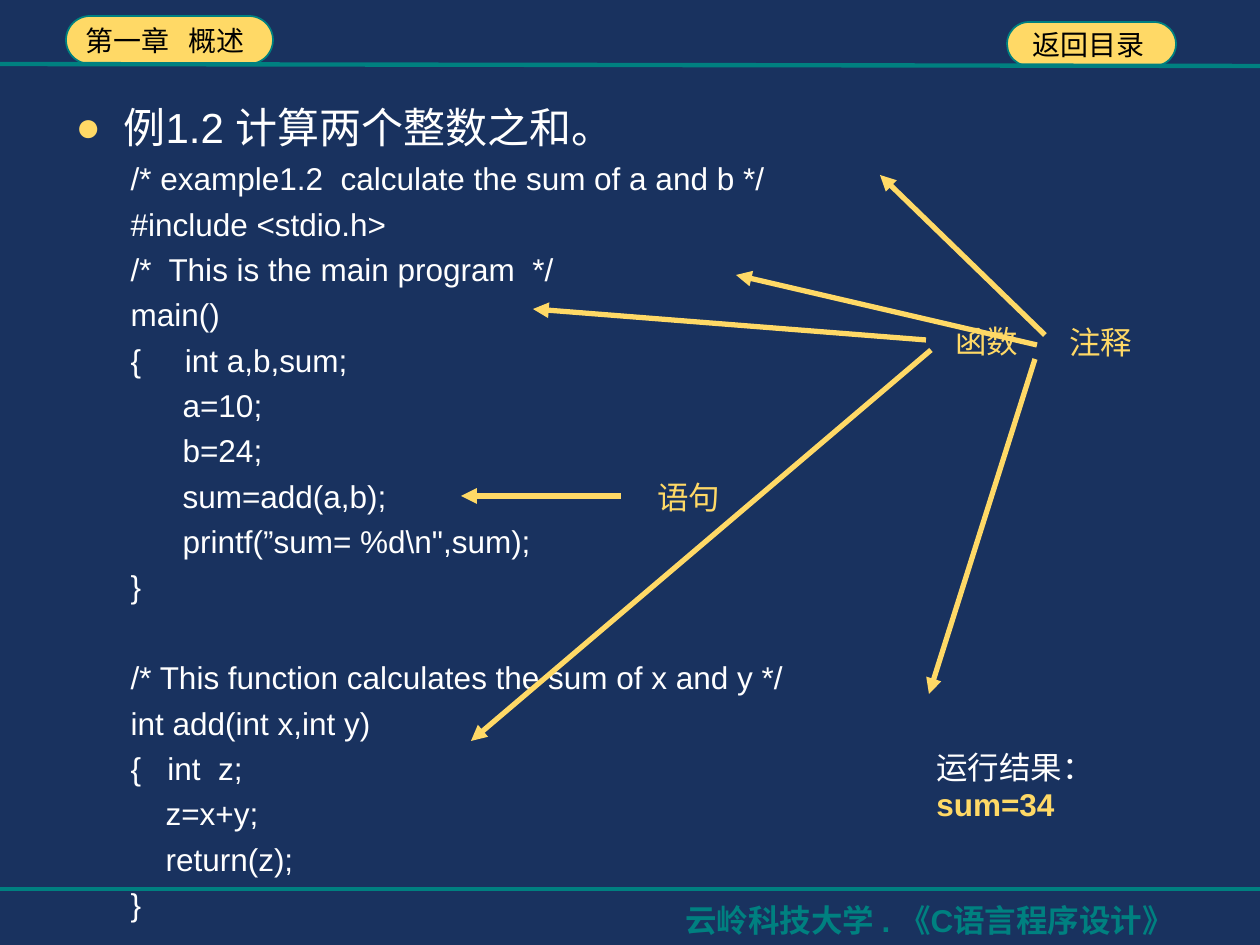
from lxml import etree
from pptx import Presentation
from pptx.dml.color import RGBColor
from pptx.enum.shapes import MSO_CONNECTOR, MSO_SHAPE
from pptx.enum.text import MSO_ANCHOR, MSO_AUTO_SIZE, PP_ALIGN
from pptx.oxml.ns import qn
from pptx.util import Pt

STRAIGHT = MSO_CONNECTOR.STRAIGHT
ROUNDED = MSO_SHAPE.ROUNDED_RECTANGLE
MIDDLE = MSO_ANCHOR.MIDDLE
CENTER, LEFT = PP_ALIGN.CENTER, PP_ALIGN.LEFT
FIXED = MSO_AUTO_SIZE.NONE

NAVY, YELLOW, TEAL = "19325F", "FFD966", "008080"
WHITE, BLACK = "FFFFFF", "000000"
CODE_LEFT = 55
FUNCTION_GAP = 26
LABEL_SIZE = (88, 52)

# One list per function, each line as text and indent in px
CODE = [
    [("/* example1.2  calculate the sum of a and b */", 0),
     ("#include <stdio.h>", 0),
     ("/*  This is the main program  */", 0),
     ("main()", 0),
     ("{     int a,b,sum;", 0),
     ("a=10;", 52),
     ("b=24;", 52),
     ("sum=add(a,b);", 52),
     ("printf(”sum= %d\\n\",sum);", 52),
     ("}", 0)],
    [("/* This function calculates the sum of x and y */", 0),
     ("int add(int x,int y)", 0),
     ("{   int  z;", 0),
     ("z=x+y;", 35),
     ("return(z);", 35),
     ("}", 0)],
]

# Each entry: label, label position, arrows as start and end points
CALLOUTS = [
    ("注释", (1057, 316), [((1045, 335), (880, 175)),
                         ((1037, 345), (736, 275)),
                         ((1035, 359), (929, 694))]),
    ("函数", (943, 315), [((926, 340), (533, 309)),
                        ((931, 350), (471, 741))]),
    ("语句", (645, 471), [((621, 496), (461, 496))]),
]


def px(length):
    return round(length * 914400 / 126)


def rgb(value):
    return RGBColor.from_string(value)


def set_font(para, size, color, bold=False):
    para.font.name = "Arial"
    para.font.size = Pt(size)
    para.font.color.rgb = rgb(color)
    para.font.bold = bold


def set_indent(para, left, first=0):
    properties = para._p.get_or_add_pPr()
    properties.set("marL", str(px(left)))
    properties.set("indent", str(px(first)))
    return properties


def add_line(shapes, start, end, color, width, arrow=False):
    line = shapes.add_connector(STRAIGHT, *map(px, start + end))
    line.line.color.rgb = rgb(color)
    line.line.width = Pt(width)
    if arrow:
        outline = line.line._get_or_add_ln()
        etree.SubElement(outline, qn("a:tailEnd"), type="triangle")
    etree.SubElement(line._element.spPr, qn("a:effectLst"))


def add_text(shapes, box, lines, align=LEFT, wrap=False):
    """Place a text box whose lines are (text, size, color, bold)."""
    frame = shapes.add_textbox(*map(px, box)).text_frame
    frame.word_wrap = wrap
    frame.vertical_anchor = MIDDLE
    for number, (text, *style) in enumerate(lines):
        para = frame.add_paragraph() if number else frame.paragraphs[0]
        para.text = text
        para.alignment = align
        set_font(para, *style)


def add_tag(page, box, text, inset):
    tag = page.shapes.add_shape(ROUNDED, *map(px, box))
    tag.adjustments[0] = 0.5
    tag.shadow.inherit = False
    tag.fill.solid()
    tag.fill.fore_color.rgb = rgb(YELLOW)
    tag.line.color.rgb = rgb(TEAL)
    tag.line.width = Pt(1)
    frame = tag.text_frame
    frame.word_wrap = True
    frame.vertical_anchor = MIDDLE
    frame.margin_left, frame.margin_right = px(inset), 0
    para = frame.paragraphs[0]
    para.text = text
    para.alignment = LEFT
    set_font(para, 16, BLACK)


def add_header(page):
    add_tag(page, (66, 16, 207, 48), "第一章   概述", 13)
    add_tag(page, (1007, 22, 169, 44), "返回目录", 19)
    add_line(page.shapes, (0, 64), (1260, 66), TEAL, 2.5)


def add_footer(page):
    add_text(page.shapes, (673, 895, 587, 50),
             [("云岭科技大学 . 《C语言程序设计》", 18, TEAL, True)], wrap=True)
    add_line(page.shapes, (0, 889), (1260, 889), TEAL, 2.5)


def add_code_line(frame, text, indent, gap):
    para = frame.add_paragraph()
    para.text = text
    para.level = 1
    para.line_spacing = 1.2
    para.space_before = Pt(gap)
    properties = set_indent(para, CODE_LEFT + indent)
    etree.SubElement(properties, qn("a:buNone"))
    set_font(para, 18, WHITE)


def fill_body(body, box):
    body.left, body.top, body.width, body.height = map(px, box)
    frame = body.text_frame
    frame.auto_size = FIXED
    heading = frame.paragraphs[0]
    heading.text = "例1.2 计算两个整数之和。"
    heading.line_spacing = 1.2
    heading.space_before = Pt(0)
    properties = set_indent(heading, 48, -48)
    bullet_color = etree.SubElement(properties, qn("a:buClr"))
    etree.SubElement(bullet_color, qn("a:srgbClr"), val=YELLOW)
    etree.SubElement(properties, qn("a:buFont"), typeface="Arial")
    etree.SubElement(properties, qn("a:buChar"), char="●")
    set_font(heading, 24, WHITE)

    for block_number, block in enumerate(CODE):
        for line_number, (text, indent) in enumerate(block):
            opens_block = block_number > 0 and line_number == 0
            add_code_line(frame, text, indent,
                          FUNCTION_GAP if opens_block else 0)


def add_callout(page, label, position, arrows):
    """Group a label with the arrows that lead to the code it names."""
    shapes = page.shapes.add_group_shape().shapes
    for start, end in arrows:
        add_line(shapes, start, end, YELLOW, 3, arrow=True)
    add_text(shapes, position + LABEL_SIZE, [(label, 18, YELLOW)], CENTER)


def build_example_page(deck):
    page = deck.slides.add_slide(deck.slide_layouts[1])
    page.background.fill.solid()
    page.background.fill.fore_color.rgb = rgb(NAVY)
    title = page.shapes.title._element
    title.getparent().remove(title)
    add_header(page)
    add_footer(page)
    fill_body(page.placeholders[1], (63, 85, 1134, 758))
    for callout in CALLOUTS:
        add_callout(page, *callout)
    add_text(page.shapes, (924, 741, 184, 89),
             [("运行结果：", 18, WHITE), ("sum=34", 18, YELLOW, True)])


def main():
    deck = Presentation()
    deck.slide_width, deck.slide_height = px(1260), px(945)
    build_example_page(deck)
    deck.save("out.pptx")


if __name__ == "__main__":
    main()
